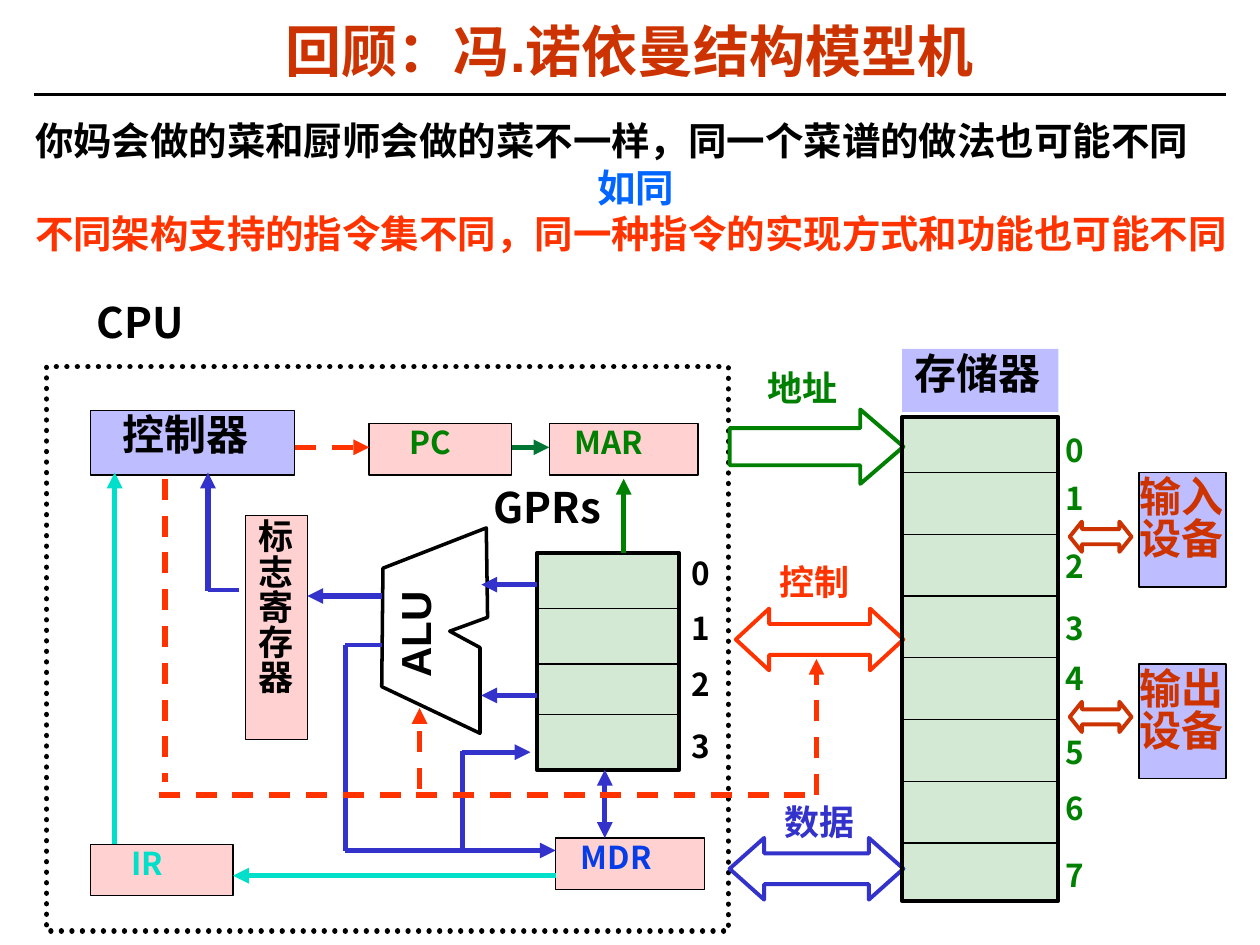
from dataclasses import dataclass
from lxml.etree import SubElement
from pptx import Presentation
from pptx.dml.color import RGBColor
from pptx.enum.dml import MSO_LINE
from pptx.enum.shapes import MSO_CONNECTOR, MSO_SHAPE
from pptx.enum.text import MSO_ANCHOR, PP_ALIGN
from pptx.oxml.ns import qn
from pptx.util import Inches, Pt


@dataclass(frozen=True)
class Theme:
    black: str = "000000"
    white: str = "FFFFFF"
    rust: str = "CC3300"
    red: str = "FF3300"
    green: str = "008000"
    pine: str = "007635"
    blue: str = "3333CC"
    royal: str = "063DE8"
    sky: str = "0066FF"
    aqua: str = "00DFCA"
    violet: tuple = ("0000FF", 26)
    pink: tuple = ("FF0000", 18)
    mint: tuple = ("008000", 17)
    font: str = "Noto Sans CJK SC"
    latin: str = "Arial"
    title: int = 32
    head: int = 24
    body: int = 22
    label: int = 20
    small: int = 18


look = Theme()
deck = Presentation()
deck.slide_width, deck.slide_height = Inches(10), Inches(7.5)
slide = deck.slides.add_slide(deck.slide_layouts[5])
shapes = slide.shapes


def write(shape, text, hue, size, font=look.font, space=0.84, pad=0.1, side=0.1, top=0.05):
    frame = shape.text_frame
    frame.word_wrap = True
    frame.vertical_anchor = MSO_ANCHOR.TOP
    frame.margin_left, frame.margin_right = Inches(pad), Inches(side)
    frame.margin_top = frame.margin_bottom = Inches(top)
    frame.text = text
    for para in frame.paragraphs:
        para.alignment = PP_ALIGN.LEFT
        para.line_spacing = space
        para.font.name, para.font.size, para.font.bold = font, Pt(size), True
        para.font.color.rgb = RGBColor.from_string(hue)
        base = para._p.pPr.find(qn("a:defRPr"))
        SubElement(base, qn("a:ea")).set("typeface", font)
    return frame


def draw(kind, place, fill=None, edge=None, width=0.75):
    shape = shapes.add_shape(kind, *map(Inches, place))
    shape.shadow.inherit = False
    if fill:
        shape.fill.solid()
        hue, alpha = fill
        shape.fill.fore_color.rgb = RGBColor.from_string(hue)
        tint = shape._element.spPr.find(qn("a:solidFill"))[0]
        SubElement(tint, qn("a:alpha")).set("val", str(alpha * 1000))
    else:
        shape.fill.background()
    if edge:
        shape.line.color.rgb = RGBColor.from_string(edge)
        shape.line.width = Pt(width)
    else:
        shape.line.fill.background()
    return shape


title = shapes.title
title.left, title.top, title.width, title.height = map(Inches, (0.5, 0.13, 9, 0.61))
frame = write(title, "回顾：冯.诺依曼结构模型机", look.rust, look.title, look.latin, 0.87, 0.07, 0.07, 0.03)
frame.vertical_anchor = MSO_ANCHOR.MIDDLE
frame.paragraphs[0].alignment = PP_ALIGN.CENTER

cpu = draw(MSO_SHAPE.RECTANGLE, (0.37, 2.91, 5.41, 4.48), None, look.black, 3)
cpu.line.dash_style = MSO_LINE.ROUND_DOT
cpu._element.spPr.find(qn("a:ln")).set("cap", "rnd")

for place, fill, text, hue, size, pad, side in [
    ((0.72, 3.26, 1.62, 0.51), look.violet, "控制器", look.black, look.head, 0.25, 0.1),
    ((2.93, 3.36, 1.13, 0.41), look.pink, "PC", look.green, look.small, 0.32, 0.1),
    ((4.36, 3.36, 1.18, 0.41), look.pink, "MAR", look.green, look.small, 0.2, 0.1),
    ((4.41, 6.65, 1.18, 0.41), look.pink, "MDR", look.royal, look.small, 0.2, 0.1),
    ((0.72, 6.7, 1.13, 0.41), look.pink, "IR", look.aqua, look.small, 0.32, 0.1),
    ((1.95, 4.09, 0.49, 1.78), look.pink, "标\n志\n寄\n存\n器", look.black, look.label, 0.1, 0.1),
    ((9.04, 3.75, 0.69, 0.91), look.violet, "输入\n设备", look.rust, look.head, 0, 0),
    ((9.04, 5.27, 0.69, 0.91), look.violet, "输出\n设备", look.rust, look.head, 0, 0),
]:
    write(draw(MSO_SHAPE.RECTANGLE, place, fill, look.black), text, hue, size, pad=pad, side=side)

store = draw(MSO_SHAPE.RECTANGLE, (7.16, 2.77, 1.24, 0.5), look.violet)
write(store, "存储器", look.black, look.head)

both, right = MSO_SHAPE.LEFT_RIGHT_ARROW, MSO_SHAPE.RIGHT_ARROW
for kind, place, point, hue in [
    (both, (8.49, 4.14, 0.49, 0.24), 0.4, look.rust),
    (both, (8.49, 5.57, 0.49, 0.24), 0.4, look.rust),
    (right, (5.79, 3.25, 1.38, 0.59), 0.58, look.green),
    (both, (5.84, 4.83, 1.33, 0.49), 0.54, look.red),
    (both, (5.79, 6.65, 1.38, 0.49), 0.56, look.blue),
]:
    arrow = draw(kind, place, (look.white, 100), hue, 2.25)
    arrow.adjustments[0], arrow.adjustments[1] = 0.5, point

alu = [(3.86, 4.19), (3.87, 4.9), (3.57, 5.01), (3.81, 5.14), (3.81, 5.82), (3.03, 5.45), (3.04, 4.51)]
pen = shapes.build_freeform(*map(Inches, alu[0]), scale=1.0)
pen.add_line_segments([tuple(map(Inches, spot)) for spot in alu[1:]], close=True)
shape = pen.convert_to_shape()
shape.shadow.inherit = False
shape.fill.background()
shape.line.color.rgb = RGBColor.from_string(look.black)
shape.line.width = Pt(2)

for place in [(4.26, 4.39, 1.13, 1.72), (7.16, 3.31, 1.24, 3.84)]:
    draw(MSO_SHAPE.RECTANGLE, place, look.mint, look.black, 2.25)

lines = [
    (0.27, 0.75, 9.73, 0.75, look.black, 1.5, ""),
    (2.34, 3.55, 2.93, 3.55, look.red, 3, "dash tail"),
    (4.06, 3.55, 4.36, 3.55, look.pine, 3, "tail"),
    (4.8, 6.11, 4.8, 6.65, look.blue, 3, "head tail"),
    (4.26, 4.64, 3.82, 4.64, look.blue, 3, "tail"),
    (4.26, 5.52, 3.82, 5.52, look.blue, 3, "tail"),
    (3.03, 4.73, 2.44, 4.73, look.blue, 3, "tail"),
    (1.9, 4.68, 1.65, 4.68, look.blue, 2.25, ""),
    (1.65, 4.69, 1.65, 3.75, look.blue, 3, "tail"),
    (4.95, 4.39, 4.95, 3.8, look.green, 3, "tail"),
    (3.03, 5.12, 2.74, 5.12, look.blue, 2.25, ""),
    (2.74, 5.12, 2.74, 6.75, look.blue, 3, ""),
    (2.74, 6.75, 4.41, 6.75, look.blue, 3, "tail"),
    (3.67, 6.75, 3.67, 5.96, look.blue, 3, ""),
    (3.67, 5.97, 4.21, 5.97, look.blue, 3, "tail"),
    (1.26, 6.31, 6.43, 6.31, look.red, 3, "dash"),
    (1.31, 3.8, 1.31, 6.21, look.red, 3, "dash"),
    (3.33, 6.26, 3.33, 5.62, look.red, 3, "dash tail"),
    (6.48, 6.31, 6.48, 5.23, look.red, 3, "dash tail"),
    (4.41, 6.95, 1.85, 6.95, look.aqua, 3, "tail"),
    (0.91, 6.7, 0.91, 3.75, look.aqua, 3, "tail"),
]
lines += [(4.26, y, 5.39, y, look.black, 0.75, "") for y in (4.83, 5.27, 5.67)]
lines += [(7.16, 3.75 + row * 0.49, 8.4, 3.75 + row * 0.49, look.black, 0.75, "") for row in range(7)]
for *ends, hue, width, style in lines:
    line = shapes.add_connector(MSO_CONNECTOR.STRAIGHT, *map(Inches, ends))
    line.line.color.rgb = RGBColor.from_string(hue)
    line.line.width = Pt(width)
    if "dash" in style:
        line.line.dash_style = MSO_LINE.DASH
    props = line._element.spPr
    for end in ("head", "tail"):
        if end in style:
            SubElement(props.find(qn("a:ln")), qn(f"a:{end}End")).set("type", "triangle")
    SubElement(props, qn("a:effectLst"))

labels = [
    ((0.67, 2.37, 0.93, 0.5), "CPU", look.black, look.head),
    ((3.82, 3.84, 1.28, 0.5), "GPRs", look.black, look.head),
    ((5.99, 2.91, 0.94, 0.43), "地址", look.green, look.label),
    ((6.09, 4.45, 0.94, 0.43), "控制", look.red, look.label),
    ((6.13, 6.36, 0.84, 0.43), "数据", look.blue, look.label),
]
for left, wide, hue, tops in [
    (5.39, 0.35, look.black, (4.4, 4.83, 5.28, 5.77)),
    (8.36, 0.33, look.green, (3.42, 3.8, 4.34, 4.83, 5.23, 5.82, 6.26, 6.79)),
]:
    labels += [((left, top, wide, 0.4), str(num), hue, look.small) for num, top in enumerate(tops)]
for place, text, hue, size in labels:
    write(shapes.add_textbox(*map(Inches, place)), text, hue, size)

name = shapes.add_textbox(*map(Inches, (2.87, 4.8, 0.89, 0.46)))
name.rotation = 270
write(name, "ALU", look.black, look.head, look.latin, 0.9)

notes = "你妈会做的菜和厨师会做的菜不一样，同一个菜谱的做法也可能不同\n如同\n不同架构支持的指令集不同，同一种指令的实现方式和功能也可能不同"
body = shapes.add_textbox(*map(Inches, (0.18, 0.94, 9.73, 1.35)))
first, mid, last = write(body, notes, look.black, look.body).paragraphs
mid.alignment = PP_ALIGN.CENTER
for para, hue in ((mid, look.sky), (last, look.red)):
    para.space_before = Pt(4.4)
    para.font.color.rgb = RGBColor.from_string(hue)

deck.save("out.pptx")
